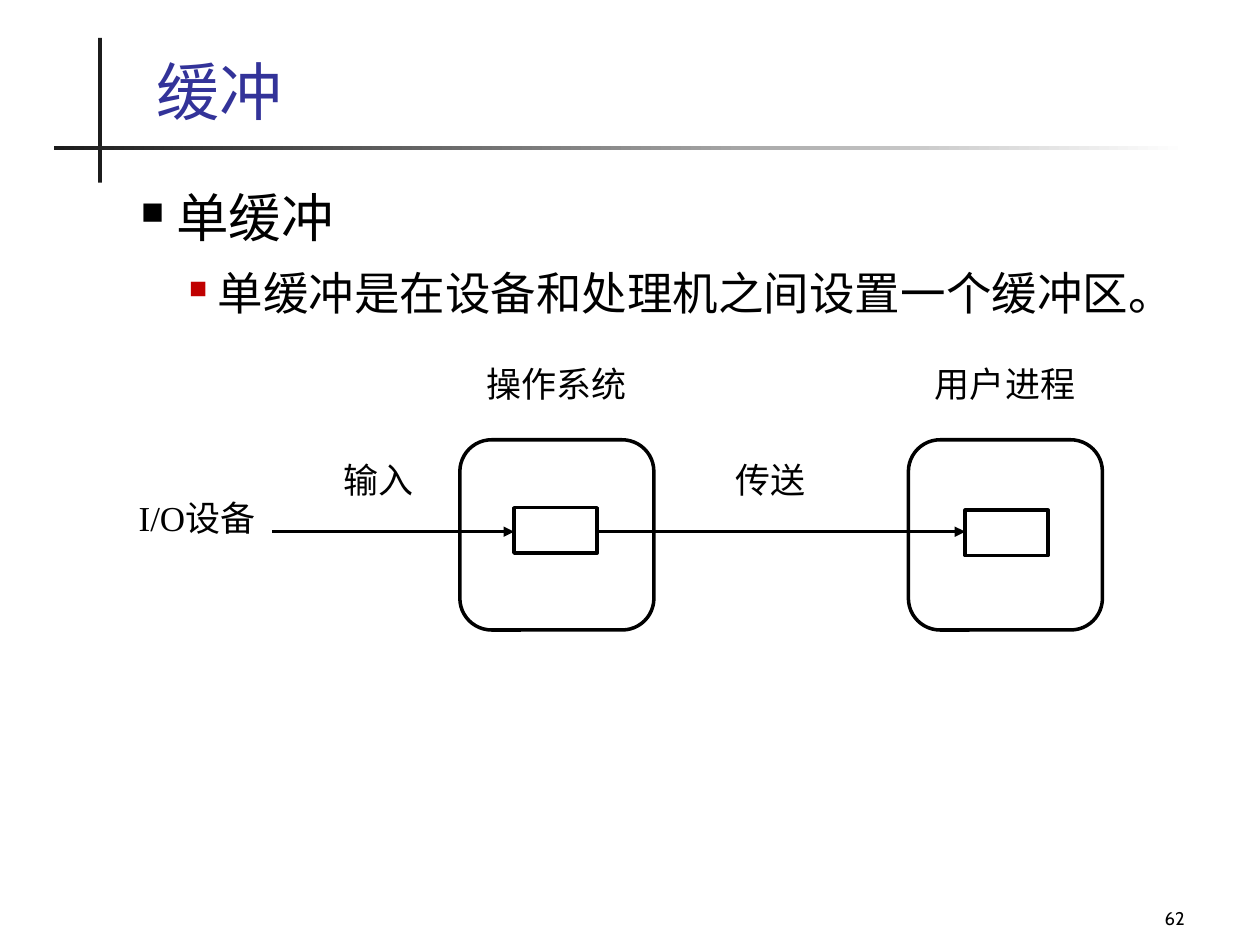
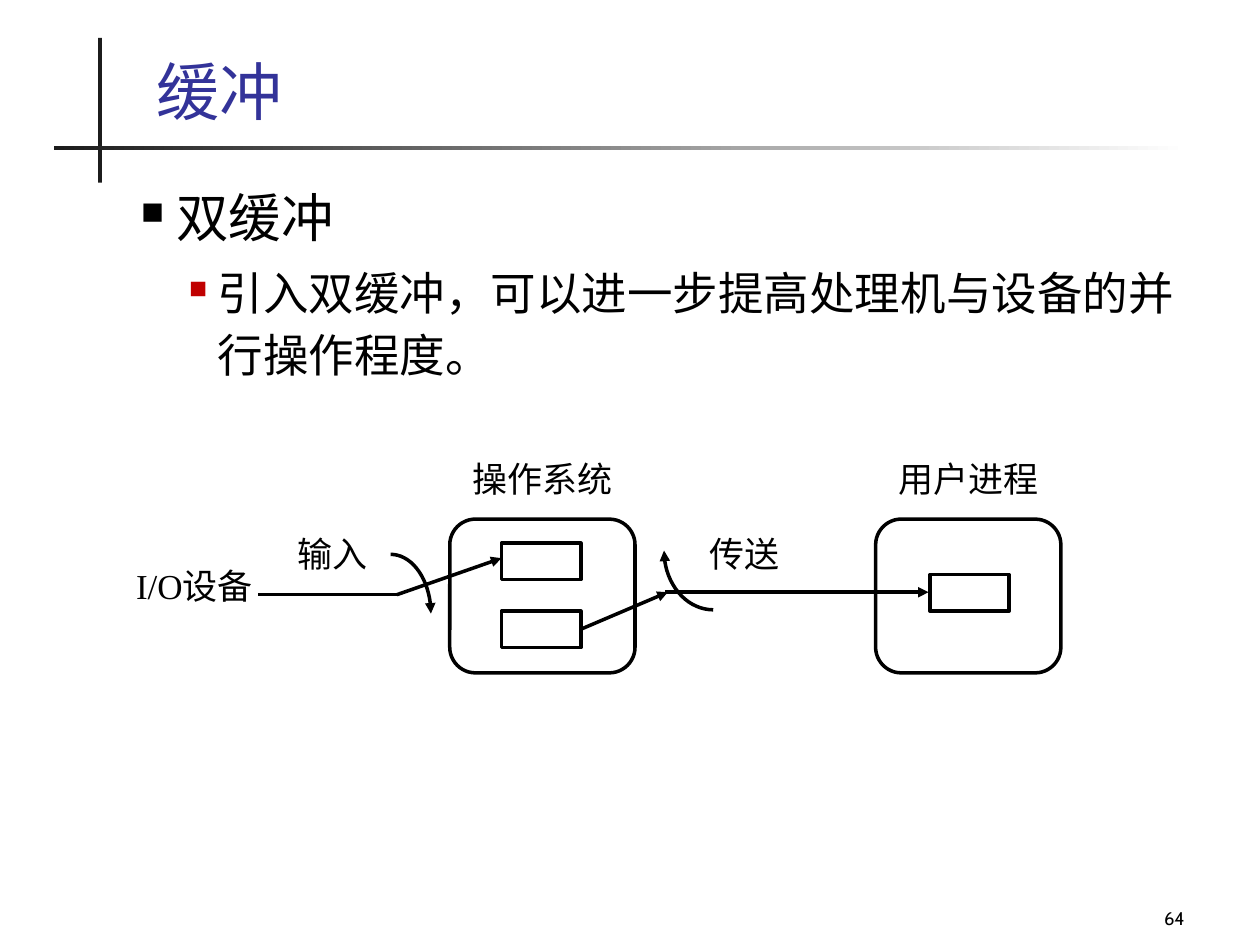
import math

import pptx
import pptx.dml.color
import pptx.enum.shapes
import pptx.enum.text
import pptx.oxml
import pptx.oxml.ns
import pptx.util
from pptx.util import Inches

BLACK, WHITE, DARK, BLUE, RED = "000000", "FFFFFF", "1C1C1C", "333399", "C00000"
SHAPES = pptx.enum.shapes.MSO_SHAPE
ALIGN = pptx.enum.text.PP_ALIGN
ANCHOR = pptx.enum.text.MSO_ANCHOR
NS = pptx.oxml.ns.nsdecls("a")


def write(sp, text, size=20, font="Times New Roman", color=BLACK, align=ALIGN.LEFT,
          anchor=ANCHOR.TOP, inset=0.1, bullet=None, add=False):
    """Put one paragraph in sp; bullet is (colour, size %, left, hanging) in inches."""
    tf = sp.text_frame
    tf.word_wrap = True
    tf.auto_size = pptx.enum.text.MSO_AUTO_SIZE.NONE
    tf.vertical_anchor = anchor
    tf.margin_left = tf.margin_right = Inches(inset)
    p = tf.add_paragraph() if add else tf.paragraphs[0]
    p.alignment = align
    r = p.add_run()
    r.text = text
    r.font.size = pptx.util.Pt(size)
    r.font.name = font
    r.font.color.rgb = pptx.dml.color.RGBColor.from_string(color)
    if bullet:
        bullet_color, percent, left, hanging = bullet
        p.line_spacing = 1.14
        p.space_before = pptx.util.Pt(size * 0.2)
        pPr = p._p.get_or_add_pPr()
        pPr.set("marL", str(Inches(left)))
        pPr.set("indent", str(-Inches(hanging)))
        for xml in (f'<a:buClr {NS}><a:srgbClr val="{bullet_color}"/></a:buClr>',
                    f'<a:buSzPct {NS} val="{percent * 1000}"/>',
                    f'<a:buChar {NS} char="■"/>'):
            pPr.append(pptx.oxml.parse_xml(xml))


def outline(sp, arrow=False):
    """Give a shape or connector the black 2 pt line, without a shadow."""
    sp.line.color.rgb = pptx.dml.color.RGBColor.from_string(BLACK)
    sp.line.width = pptx.util.Pt(2)
    if arrow:
        sp.line._get_or_add_ln().append(
            pptx.oxml.parse_xml(f'<a:tailEnd {NS} type="triangle"/>'))
    sp._element.spPr.append(pptx.oxml.parse_xml(f"<a:effectLst {NS}/>"))


# frames and buffers: left, top (one size each per slide)
# labels: text, left, top, width; lines: x1, y1, x2, y2, arrow
# curves: centre x, centre y, radius x, radius y, start angle of the quarter turn
slides = [
    dict(
        number="62", heading="单缓冲", inset=0.02,
        detail="单缓冲是在设备和处理机之间设置一个缓冲区。",
        frame_size=(1.54, 1.51), frames=[(3.65, 3.49), (7.21, 3.49)],
        buffer_size=(0.66, 0.36), buffers=[(4.08, 4.03), (7.66, 4.05)],
        labels=[("操作系统", 3.84, 2.83, 1.21), ("用户进程", 7.4, 2.83, 1.18),
                ("I/O设备", 1.08, 3.89, 1.09), ("输入", 2.71, 3.59, 0.82),
                ("传送", 5.82, 3.59, 0.81)],
        lines=[(2.16, 4.22, 4.08, 4.22, True), (4.74, 4.22, 7.66, 4.22, True)],
        curves=[],
    ),
    dict(
        number="64", heading="双缓冲", inset=0,
        detail="引入双缓冲，可以进一步提高处理机与设备的并行操作程度。",
        frame_size=(1.47, 1.22), frames=[(3.57, 4.12), (6.95, 4.12)],
        buffer_size=(0.63, 0.29), buffers=[(3.98, 4.31), (3.98, 4.85), (7.38, 4.56)],
        labels=[("操作系统", 3.75, 3.58, 1.15), ("用户进程", 7.13, 3.58, 1.12),
                ("I/O设备", 1.08, 4.43, 1.04), ("输入", 2.36, 4.18, 0.77),
                ("传送", 5.63, 4.18, 0.78)],
        lines=[(2.05, 4.72, 3.17, 4.72, False), (3.15, 4.72, 3.98, 4.43, True),
               (4.62, 4.99, 5.3, 4.7, True), (5.28, 4.7, 7.37, 4.7, True)],
        curves=[(3.1, 4.87, 0.32, 0.47, -90), (5.66, 4.37, 0.39, 0.47, 90)],
    ),
]

prs = pptx.Presentation()
prs.slide_width, prs.slide_height = Inches(10), Inches(7.5)

for d in slides:
    s = prs.slides.add_slide(prs.slide_layouts[5])

    # Title with its crossed rules
    for box in ((0.78, 0.3, 0.03, 1.15), (0.43, 1.16, 9, 0.03)):
        rule = s.shapes.add_shape(SHAPES.RECTANGLE, *map(Inches, box))
        rule.shadow.inherit = False
        rule.line.fill.background()
        if box[2] > box[3]:
            rule.fill.gradient()
            rule.fill.gradient_angle = 0
            for stop, color in zip(rule.fill.gradient_stops, (DARK, WHITE)):
                stop.color.rgb = pptx.dml.color.RGBColor.from_string(color)
        else:
            rule.fill.solid()
            rule.fill.fore_color.rgb = pptx.dml.color.RGBColor.from_string(DARK)
    title = s.shapes.title
    title.left, title.top, title.width, title.height = map(Inches, (1.14, 0.25, 8.59, 0.82))
    write(title, "缓冲", size=36, font="Cambria", color=BLUE, anchor=ANCHOR.BOTTOM)

    # Bullets and slide number
    body = s.shapes.add_textbox(*map(Inches, (1.02, 1.35, 8.5, 5.35)))
    write(body, d["heading"], size=30, font="Cambria", bullet=(BLACK, 60, 0.28, 0.28))
    write(body, d["detail"], size=26, font="Cambria", bullet=(RED, 55, 0.61, 0.23), add=True)
    body.text_frame.paragraphs[1].level = 1
    number = s.shapes.add_textbox(*map(Inches, (7.42, 6.92, 2.08, 0.5)))
    write(number, d["number"], size=10.5, font="Cabin", align=ALIGN.RIGHT,
          anchor=ANCHOR.BOTTOM)

    # Diagram
    for kind, size, places in (
            (SHAPES.ROUNDED_RECTANGLE, d["frame_size"], d["frames"]),
            (SHAPES.RECTANGLE, d["buffer_size"], d["buffers"])):
        for place in places:
            sp = s.shapes.add_shape(kind, *map(Inches, place + size))
            sp.fill.solid()
            sp.fill.fore_color.rgb = pptx.dml.color.RGBColor.from_string(WHITE)
            outline(sp)
    for text, left, top, width in d["labels"]:
        label = s.shapes.add_textbox(*map(Inches, (left, top, width, 0.45)))
        write(label, text, align=ALIGN.JUSTIFY, inset=d["inset"])
    for *ends, arrow in d["lines"]:
        line = s.shapes.add_connector(
            pptx.enum.shapes.MSO_CONNECTOR.STRAIGHT, *map(Inches, ends))
        outline(line, arrow)
    for cx, cy, rx, ry, start in d["curves"]:
        angles = [math.radians(start + step) for step in range(0, 91, 5)]
        points = [(Inches(cx + rx * math.cos(a)), Inches(cy + ry * math.sin(a)))
                  for a in angles]
        builder = s.shapes.build_freeform(*points[0])
        builder.add_line_segments(points[1:], close=False)
        curve = builder.convert_to_shape()
        curve.fill.background()
        outline(curve, arrow=True)

prs.save("out.pptx")
